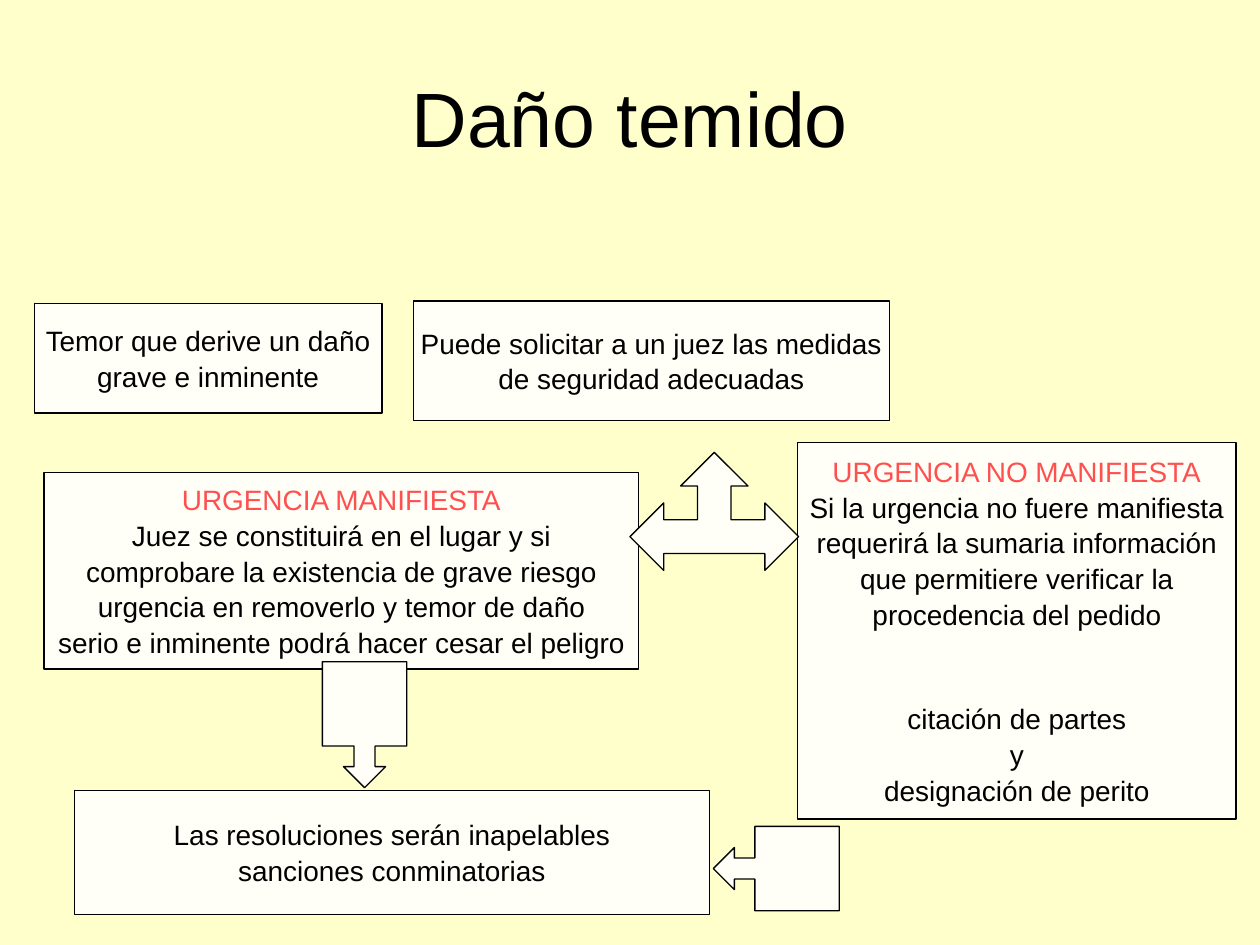
from pptx import Presentation
from pptx.dml.color import RGBColor
from pptx.enum.shapes import MSO_SHAPE
from pptx.enum.text import MSO_ANCHOR, MSO_AUTO_SIZE, PP_ALIGN
from pptx.util import Cm, Pt

RECT = MSO_SHAPE.RECTANGLE
LEFT = MSO_SHAPE.LEFT_ARROW_CALLOUT
DOWN = MSO_SHAPE.DOWN_ARROW_CALLOUT
MID = MSO_ANCHOR.MIDDLE
CENTER = PP_ALIGN.CENTER
FIXED = MSO_AUTO_SIZE.NONE

THEME = {
    "back": RGBColor.from_string("FFFFCC"),
    "fill": RGBColor.from_string("FFFFF7"),
    "ink": RGBColor.from_string("000000"),
    "head": RGBColor.from_string("FF5050"),
    "font": "Arial",
    "title": Pt(44),
    "body": Pt(16),
    "line": Pt(0.75),
    "space": Pt(0.6),
    "gap": Pt(40),
}

TITLE = ("Daño temido", (1.27, 0.76, 22.86, 3.18))

BOXES = [
    {"at": (0.69, 6.12, 7.01, 2.21),
     "text": ["Temor que derive un daño", "grave e inminente"]},
    {"at": (8.33, 6.07, 9.6, 2.41),
     "text": ["Puede solicitar a un juez las medidas",
              "de seguridad adecuadas"]},
    {"at": (0.89, 9.53, 11.99, 3.96),
     "head": "URGENCIA MANIFIESTA",
     "text": ["Juez se constituirá en el lugar y si",
              "comprobare la existencia de grave riesgo",
              "urgencia en removerlo y temor de daño",
              "serio e inminente podrá hacer cesar el peligro"]},
    {"at": (16.08, 8.92, 8.84, 7.59),
     "head": "URGENCIA NO MANIFIESTA",
     "text": ["Si la urgencia no fuere manifiesta",
              "requerirá la sumaria información",
              "que permitiere verificar la",
              "procedencia del pedido"],
     "tail": ["citación de partes", "y", "designación de perito"]},
    {"at": (1.5, 15.93, 12.8, 2.51),
     "text": ["Las resoluciones serán inapelables",
              "sanciones conminatorias"]},
]

CALLS = [
    (LEFT, (14.38, 16.66, 2.54, 1.7)),
    (DOWN, (6.5, 13.34, 1.7, 2.54)),
]

FORK = (12.7, 9.12)
UNIT = 0.34
HALF = [(5, 0), (3, 2), (4, 2), (4, 4), (2, 4), (2, 3),
        (0, 5), (2, 7), (2, 6)]


def put(obj, vals):
    for key, val in vals.items():
        setattr(obj, key, val)


def paint(shape):
    shape.shadow.inherit = False
    shape.fill.solid()
    shape.fill.fore_color.rgb = THEME["fill"]
    shape.line.color.rgb = THEME["ink"]
    shape.line.width = THEME["line"]


def write(frame, rows, size, wrap):
    put(frame, {"word_wrap": wrap, "auto_size": FIXED,
                "vertical_anchor": MID})
    for i, (text, tone, space) in enumerate(rows):
        para = frame.add_paragraph() if i else frame.paragraphs[0]
        put(para, {"text": text, "alignment": CENTER,
                   "space_before": space if i else Pt(0),
                   "space_after": THEME["space"]})
        for run in para.runs:
            put(run.font, {"name": THEME["font"], "size": size})
            run.font.color.rgb = THEME[tone]


def rows_of(box):
    rows = [(box["head"], "head", THEME["space"])] if "head" in box else []
    rows += [(text, "ink", THEME["space"]) for text in box["text"]]
    for i, text in enumerate(box.get("tail", [])):
        rows.append((text, "ink", THEME["space" if i else "gap"]))
    return rows


def add(slide, kind, at):
    shape = slide.shapes.add_shape(kind, *map(Cm, at))
    paint(shape)
    return shape


def add_fork(slide):
    grid = HALF + [(10 - x, y) for x, y in HALF[:0:-1]]
    pts = [(Cm(FORK[0] + x * UNIT), Cm(FORK[1] + y * UNIT))
           for x, y in grid]
    form = slide.shapes.build_freeform(*pts[0])
    form.add_line_segments(pts[1:], close=True)
    paint(form.convert_to_shape())


def main():
    deck = Presentation()
    put(deck, {"slide_width": Cm(25.4), "slide_height": Cm(19.05)})
    slide = deck.slides.add_slide(deck.slide_layouts[5])
    slide.background.fill.solid()
    slide.background.fill.fore_color.rgb = THEME["back"]

    text, at = TITLE
    title = slide.shapes.title
    put(title, dict(zip(("left", "top", "width", "height"), map(Cm, at))))
    write(title.text_frame, [(text, "ink", Pt(0))], THEME["title"], True)

    for box in BOXES:
        shape = add(slide, RECT, box["at"])
        write(shape.text_frame, rows_of(box), THEME["body"], False)
    add_fork(slide)
    for kind, at in CALLS:
        shape = add(slide, kind, at)
        for i, val in enumerate((0.25, 0.25, 0.25, 0.67)):
            shape.adjustments[i] = val
    deck.save("out.pptx")


if __name__ == "__main__":
    main()
